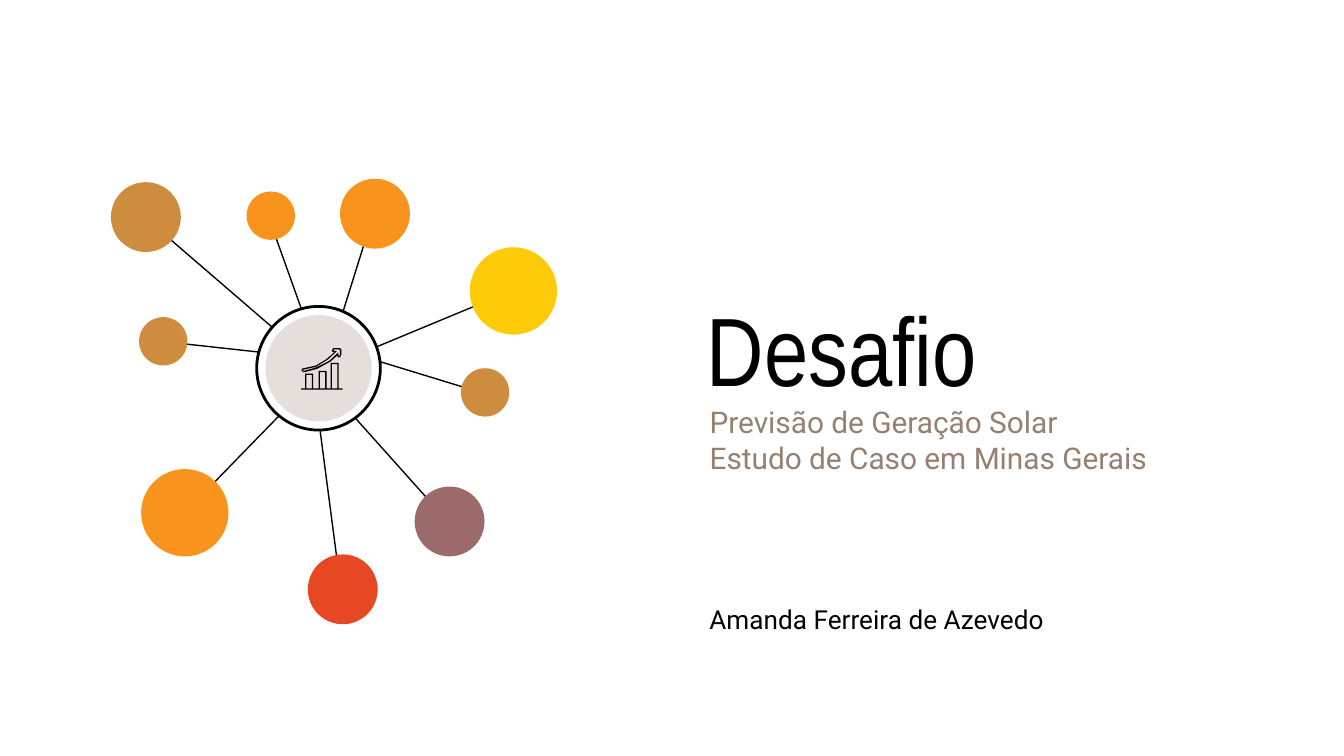
from dataclasses import dataclass

from lxml import etree
from pptx import Presentation
from pptx.dml.color import RGBColor
from pptx.enum.shapes import MSO_CONNECTOR as Link, MSO_SHAPE as Shape
from pptx.enum.text import MSO_ANCHOR as Anchor, MSO_AUTO_SIZE as AutoSize, PP_ALIGN as Align
from pptx.oxml.ns import qn
from pptx.util import Emu, Pt

PX = 914400 // 200  # 200 px to the inch


@dataclass(frozen=True)
class Theme:
    black: str = "000000"
    white: str = "FFFFFF"
    taupe: str = "968071"
    mist: str = "E5DEDB"
    yellow: str = "FFCA08"
    orange: str = "F8931D"
    ochre: str = "CE8D3E"
    mauve: str = "9C6A6A"
    red: str = "E64823"
    title_font: str = "Arial Narrow"
    body_font: str = "Roboto"
    title_size: int = 52
    subtitle_size: int = 16
    author_size: int = 14
    spoke_width: float = 0.75
    ring_width: float = 1.5


THEME = Theme()
LARGE, MEDIUM, SMALL = 130, 104, 72
HUB = (474, 548)

# Ball centre, diameter, colour, spoke start, spoke end
SPOKES = [
    ((764, 433), LARGE, THEME.yellow, (768, 430), (532, 528)),
    ((275, 763), LARGE, THEME.orange, (272, 766), (420, 614)),
    ((558, 318), MEDIUM, THEME.orange, (556, 318), (496, 510)),
    ((217, 323), MEDIUM, THEME.ochre, (216, 324), (404, 486)),
    ((669, 776), MEDIUM, THEME.mauve, (670, 780), (500, 590)),
    ((510, 877), MEDIUM, THEME.red, (508, 882), (476, 638)),
    ((243, 508), SMALL, THEME.ochre, (240, 508), (422, 528)),
    ((722, 584), SMALL, THEME.ochre, (722, 586), (532, 528)),
    ((403, 321), SMALL, THEME.orange, (400, 324), (460, 492)),
]

# Growth icon: bars as (left, top), then the two edges of the arrow's outline
BARS = [(454, 556), (474, 552), (492, 540)]
BAR_WIDTH, STROKE, FLOOR = 12, 2, 578
ARROW_OUTER = [
    (496, 518), (506, 518), (508, 520), (508, 528), (506, 532), (503, 532),
    (502, 529), (492, 538), (472, 549), (452, 554), (449, 552), (449, 549),
    (452, 548), (470, 544), (485, 535), (498, 524), (495, 524), (494, 521),
]
ARROW_INNER = [
    (496, 520), (505, 520), (506, 521), (506, 529), (505, 530), (504, 529),
    (503, 525), (490, 537), (470, 547), (452, 552), (450, 551), (452, 550),
    (470, 546), (488, 535), (501, 523), (500, 522), (497, 522),
]


def px(*values):
    return [Emu(value * PX) for value in values]


def paint(shape, fill, line=None, width=0):
    shape.shadow.inherit = False
    shape.fill.solid()
    shape.fill.fore_color.rgb = RGBColor.from_string(fill)
    if line:
        shape.line.color.rgb = RGBColor.from_string(line)
        shape.line.width = Pt(width)
    else:
        shape.line.fill.background()


def add_circle(shapes, center, diameter, fill, **outline):
    x, y = center
    radius = diameter // 2
    circle = shapes.add_shape(
        Shape.OVAL, *px(x - radius, y - radius, diameter, diameter))
    paint(circle, fill, **outline)


def add_spoke(shapes, start, end):
    spoke = shapes.add_connector(Link.STRAIGHT, *px(*start, *end))
    spoke.line.color.rgb = RGBColor.from_string(THEME.black)
    spoke.line.width = Pt(THEME.spoke_width)
    etree.SubElement(spoke._element.spPr, qn("a:effectLst"))


def add_outline(shapes, contours):
    """Draw one filled shape; contours after the first are holes."""
    first, *holes = contours
    builder = shapes.build_freeform(*first[0], scale=PX)
    builder.add_line_segments(first[1:], close=True)
    for hole in holes:
        builder.move_to(*hole[0])
        builder.add_line_segments(hole[1:], close=True)
    paint(builder.convert_to_shape(), THEME.black)


def add_icon(page):
    shapes = page.shapes.add_group_shape().shapes
    skyline = [(448, FLOOR + STROKE), (448, FLOOR)]
    windows = []
    for left, top in BARS:
        right = left + BAR_WIDTH
        skyline += [(left, FLOOR), (left, top), (right, top), (right, FLOOR)]
        inner_left, inner_right = left + STROKE, right - STROKE
        windows.append([(inner_left, top + STROKE), (inner_right, top + STROKE),
                        (inner_right, FLOOR), (inner_left, FLOOR)])
    skyline += [(510, FLOOR), (510, FLOOR + STROKE)]
    add_outline(shapes, [skyline, *windows])
    add_outline(shapes, [ARROW_OUTER, ARROW_INNER])


def write(box, text, *, at, font, size, color, align=Align.JUSTIFY):
    """Place a text box or placeholder and fill it, one paragraph a line."""
    box.left, box.top, box.width, box.height = px(*at)
    frame = box.text_frame
    frame.word_wrap = True
    frame.auto_size = AutoSize.NONE
    frame.vertical_anchor = Anchor.MIDDLE
    frame.margin_left, frame.margin_top, frame.margin_right, frame.margin_bottom = px(20, 20, 20, 20)
    frame.text = text
    for para in frame.paragraphs:
        para.alignment = align
        para.space_before = Pt(0)
        for span in para.runs:
            span.font.name = font
            span.font.size = Pt(size)
            span.font.color.rgb = RGBColor.from_string(color)


def main():
    deck = Presentation()
    deck.slide_width, deck.slide_height = px(2000, 1125)
    page = deck.slides.add_slide(deck.slide_layouts[0])

    # Title, subtitle and author
    write(page.shapes.title, "Desafio", at=(1032, 280, 752, 474),
          font=THEME.title_font, size=THEME.title_size, color=THEME.black,
          align=Align.LEFT)
    write(page.placeholders[1],
          "Previsão de Geração Solar\nEstudo de Caso em Minas Gerais",
          at=(1036, 608, 862, 92), font=THEME.body_font,
          size=THEME.subtitle_size, color=THEME.taupe)
    write(page.shapes.add_textbox(0, 0, 0, 0), "Amanda Ferreira de Azevedo",
          at=(1036, 876, 862, 92), font=THEME.body_font,
          size=THEME.author_size, color=THEME.black)

    # Balls on spokes
    for center, diameter, color, start, end in SPOKES:
        shapes = page.shapes.add_group_shape().shapes
        add_spoke(shapes, start, end)
        add_circle(shapes, center, diameter, color)

    # Hub with its icon
    hub = page.shapes.add_group_shape().shapes
    add_circle(hub, HUB, 184, THEME.white, line=THEME.black, width=THEME.ring_width)
    add_circle(hub, HUB, 158, THEME.mist)
    add_icon(page)

    deck.save("out.pptx")


if __name__ == "__main__":
    main()
